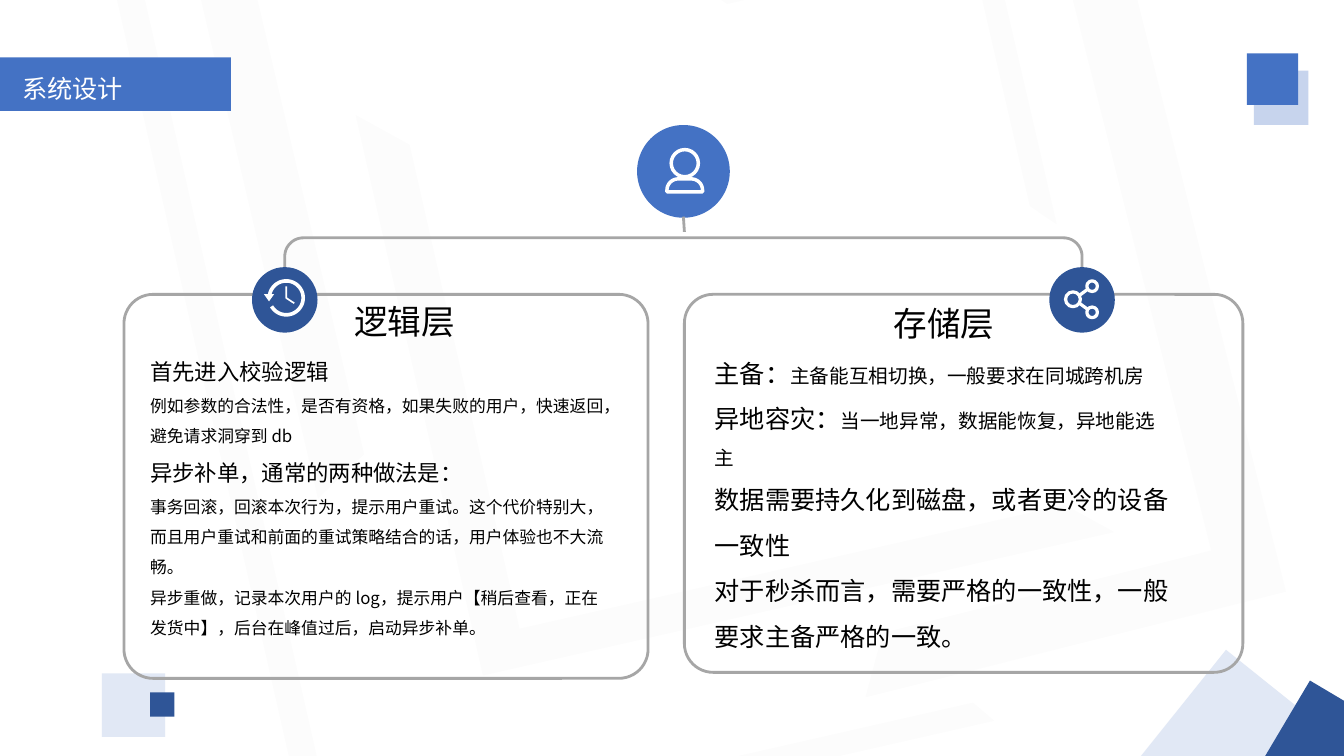
from dataclasses import dataclass
from math import cos, radians, sin

from lxml.etree import SubElement
from pptx import Presentation
from pptx.dml.color import RGBColor
from pptx.enum.shapes import MSO_CONNECTOR, MSO_SHAPE
from pptx.enum.text import MSO_ANCHOR, MSO_AUTO_SIZE, PP_ALIGN
from pptx.oxml.ns import qn
from pptx.util import Pt


@dataclass(frozen=True)
class Theme:
    font: str = "Noto Sans CJK SC"
    white: str = "FFFFFF"
    black: str = "000000"
    blue: str = "4472C4"
    navy: str = "2F5597"
    pale: str = "C7D4ED"
    gray: str = "A6A6A6"
    heading: int = 24
    title: int = 18
    lead: int = 16
    detail: int = 14
    small: int = 12
    rule: int = 2


THEME = Theme()

# Left, top, width, height, rotation, adjustments, flipped
BACKDROP_FRAMES = [
    (319.68, 0, 410.4, 462.24, 257.2, (0.08, 0.065), False),
    (59.76, -4.32, 668.16, 496.8, 257.2, (0.039, 0.032), False),
    (522.72, -24.48, 216.72, 203.76, 77, (0.077, 0.052), False),
    (172.08, -120.24, 680.4, 403.92, 346.8, (0.091, 0.097), False),
    (421.92, 35.28, 557.28, 309.6, 75.9, (0.144, 0.134), True),
]

# Left, top, side, rotation, colour, opacity in percent
CORNER_SQUARES = [
    (895.68, 50.4, 38.88, 0, THEME.pale, 100),
    (830.16, 486, 108, 308.7, THEME.pale, 53),
    (72.72, 480.96, 45.36, 0, THEME.pale, 53),
    (107.28, 494.64, 17.28, 0, THEME.navy, 100),
    (890.64, 38.16, 36.72, 0, THEME.blue, 100),
    (914.4, 498.24, 65.52, 300.7, THEME.navy, 100),
]

# Each paragraph is a list of (text, size) runs
LOGIC_TEXT = [
    [("首先进入校验逻辑", THEME.lead)],
    [("例如参数的合法性，是否有资格，如果失败的用户，快速返回，避免请求洞穿到 db", THEME.small)],
    [("异步补单，通常的两种做法是：", THEME.lead)],
    [("事务回滚，回滚本次行为，提示用户重试。这个代价特别大，"
      "而且用户重试和前面的重试策略结合的话，用户体验也不大流畅。", THEME.small)],
    [("异步重做，记录本次用户的 log，提示用户【稍后查看，正在发货中】，"
      "后台在峰值过后，启动异步补单。", THEME.small)],
]
STORAGE_TEXT = [
    [("主备：", THEME.title), ("主备能互相切换，一般要求在同城跨机房", THEME.detail)],
    [("异地容灾：", THEME.title), ("当一地异常，数据能恢复，异地能选主", THEME.detail)],
    [("数据需要持久化到磁盘，或者更冷的设备", THEME.title)],
    [("一致性", THEME.title)],
    [("对于秒杀而言，需要严格的一致性，一般要求主备严格的一致。", THEME.title)],
]

BODY_FORMAT = {"line_spacing": 1.5, "space_before": Pt(0.2)}
HEADING_FORMAT = {"alignment": PP_ALIGN.CENTER}


def assign(target, values):
    for key, value in values.items():
        setattr(target, key, value)


def paint(shape, fill=None, opacity=100, line=None, width=THEME.rule):
    shape.shadow.inherit = False
    if fill:
        shape.fill.solid()
        shape.fill.fore_color.rgb = RGBColor.from_string(fill)
        if opacity < 100:
            colour = shape.element.spPr.find(qn("a:solidFill"))[0]
            SubElement(colour, qn("a:alpha")).set("val", str(opacity * 1000))
    else:
        shape.fill.background()
    if line:
        shape.line.color.rgb = RGBColor.from_string(line)
        shape.line.width = Pt(width)
    else:
        shape.line.fill.background()


def add_block(slide, kind, box, rotation=0, adjustments=(), **look):
    block = slide.shapes.add_shape(kind, *map(Pt, box))
    block.rotation = rotation
    for index, value in enumerate(adjustments):
        block.adjustments[index] = value
    paint(block, **look)
    return block


def add_disc(slide, x, y, radius, **look):
    box = (x - radius, y - radius, 2 * radius, 2 * radius)
    return add_block(slide, MSO_SHAPE.OVAL, box, **look)


def add_outline(slide, points, close=False, **look):
    start, *rest = [(Pt(x), Pt(y)) for x, y in points]
    builder = slide.shapes.build_freeform(*start)
    builder.add_line_segments(rest, close=close)
    paint(builder.convert_to_shape(), **look)


def arc(x, y, radius, start, end):
    steps = max(12, round(abs(end - start) / 6))
    angles = [radians(start + (end - start) * i / steps) for i in range(steps + 1)]
    return [(x + radius * cos(a), y + radius * sin(a)) for a in angles]


def add_line(slide, start, end, colour, width):
    line = slide.shapes.add_connector(MSO_CONNECTOR.STRAIGHT, *map(Pt, start + end))
    line.line.color.rgb = RGBColor.from_string(colour)
    line.line.width = Pt(width)
    SubElement(line.element.spPr, qn("a:effectLst"))


def write(frame, paragraphs, colour, layout):
    for index, runs in enumerate(paragraphs):
        paragraph = frame.add_paragraph() if index else frame.paragraphs[0]
        assign(paragraph, layout)
        for text, size in runs:
            run = paragraph.add_run()
            run.text = text
            assign(run.font, {"name": THEME.font, "size": Pt(size)})
            run.font.color.rgb = RGBColor.from_string(colour)
            SubElement(run.font._element, qn("a:ea")).set("typeface", THEME.font)


def add_text(slide, box, paragraphs, layout):
    frame = slide.shapes.add_textbox(*map(Pt, box)).text_frame
    assign(frame, {"word_wrap": True, "auto_size": MSO_AUTO_SIZE.SHAPE_TO_FIT_TEXT,
                   "margin_left": 0, "margin_top": 0,
                   "margin_right": 0, "margin_bottom": 0})
    write(frame, paragraphs, THEME.black, layout)


def add_title(slide, text):
    banner = add_block(slide, MSO_SHAPE.PENTAGON, (0, 41.04, 164.88, 38.16),
                       adjustments=[0], fill=THEME.blue)
    title = slide.shapes.title
    assign(title, {"left": Pt(8.64), "top": Pt(48.96),
                   "width": Pt(156.24), "height": Pt(30.96)})
    assign(title.text_frame, {"vertical_anchor": MSO_ANCHOR.TOP, "word_wrap": True,
                              "auto_size": MSO_AUTO_SIZE.NONE})
    write(title.text_frame, [[(text, THEME.title)]], THEME.white,
          {"alignment": PP_ALIGN.LEFT})
    banner.element.addnext(title.element)


def add_user_icon(slide, x, y):
    add_disc(slide, x, y, 33.12, fill=THEME.blue)
    stroke = {"line": THEME.white, "width": 2.5}
    add_disc(slide, x + 1, y - 5.8, 9.7, **stroke)
    shoulders = arc(x - 3.7, y + 13.4, 8, 180, 270) + arc(x + 5.7, y + 13.4, 8, 270, 360)
    base = y + 14.6
    add_outline(slide, [(x - 11.7, base), *shoulders, (x + 13.7, base)], close=True, **stroke)


def add_clock_icon(slide, x, y):
    add_disc(slide, x, y, 23.4, fill=THEME.navy)
    x, y = x + 1.1, y - 1.4
    add_outline(slide, arc(x, y, 12.1, 192, 510), line=THEME.white, width=2.6)
    add_outline(slide, [(x - 15.9, y - 2.6), (x - 12.3, y + 2.5), (x - 8.7, y - 2.6)],
                close=True, fill=THEME.white)
    add_outline(slide, [(x, y - 8.3), (x, y + 0.1), (x + 5.7, y + 3.8)],
                line=THEME.white, width=1.2)


def add_share_icon(slide, x, y):
    add_disc(slide, x, y, 23.4, fill=THEME.navy)
    x, y = x - 6.5, y - 0.4
    stroke = {"line": THEME.white, "width": 2.3}
    add_disc(slide, x, y, 5.3, **stroke)
    for side in (-1, 1):
        add_disc(slide, x + 13.7, y + side * 9.35, 3.8, **stroke)
        add_line(slide, (x + 4.6, y + side * 2.8), (x + 10.4, y + side * 7.1),
                 THEME.white, 2.3)


def main():
    deck = Presentation()
    assign(deck, {"slide_width": Pt(960), "slide_height": Pt(540)})
    slide = deck.slides.add_slide(deck.slide_layouts[5])

    # Backdrop
    for *box, rotation, adjustments, flipped in BACKDROP_FRAMES:
        frame = add_block(slide, MSO_SHAPE.HALF_FRAME, box, rotation, adjustments,
                          fill=THEME.gray, opacity=3)
        if flipped:
            frame.element.spPr.find(qn("a:xfrm")).set("flipH", "1")

    # Title and corner decoration
    add_title(slide, "系统设计")
    for left, top, side, rotation, colour, opacity in CORNER_SQUARES:
        add_block(slide, MSO_SHAPE.RECTANGLE, (left, top, side, side), rotation,
                  fill=colour, opacity=opacity)

    # Tree from the user to both layers
    logic_x, storage_x, node_y = 203.4, 772.92, 214.2
    beam, foot, bend = 169.92, 210.24, 13.3
    add_user_icon(slide, 488.16, 122.4)
    corners = (arc(logic_x + bend, beam + bend, bend, 180, 270)
               + arc(storage_x - bend, beam + bend, bend, 270, 360))
    add_outline(slide, [(logic_x, foot), *corners, (storage_x, foot)], line=THEME.gray)
    add_line(slide, (488.16, 154.8), (488.88, 165.6), THEME.gray, THEME.rule)

    # Layer cards
    for card in ((88.56, foot, 374.4, 274.32), (488.88, foot, 398.88, 270)):
        add_block(slide, MSO_SHAPE.ROUNDED_RECTANGLE, card, adjustments=[0.076],
                  line=THEME.gray)
    add_share_icon(slide, storage_x, node_y)
    add_clock_icon(slide, logic_x, node_y)

    # Layer texts
    add_text(slide, (612, 216.72, 124.56, 28.8), [[("存储层", THEME.heading)]], HEADING_FORMAT)
    add_text(slide, (510.48, 244.8, 327.6, 229.68), STORAGE_TEXT, BODY_FORMAT)
    add_text(slide, (226.8, 215.28, 124.56, 19.44), [[("逻辑层", THEME.heading)]], HEADING_FORMAT)
    add_text(slide, (107.28, 246.24, 327.6, 241.2), LOGIC_TEXT, BODY_FORMAT)

    deck.save("out.pptx")


if __name__ == "__main__":
    main()
